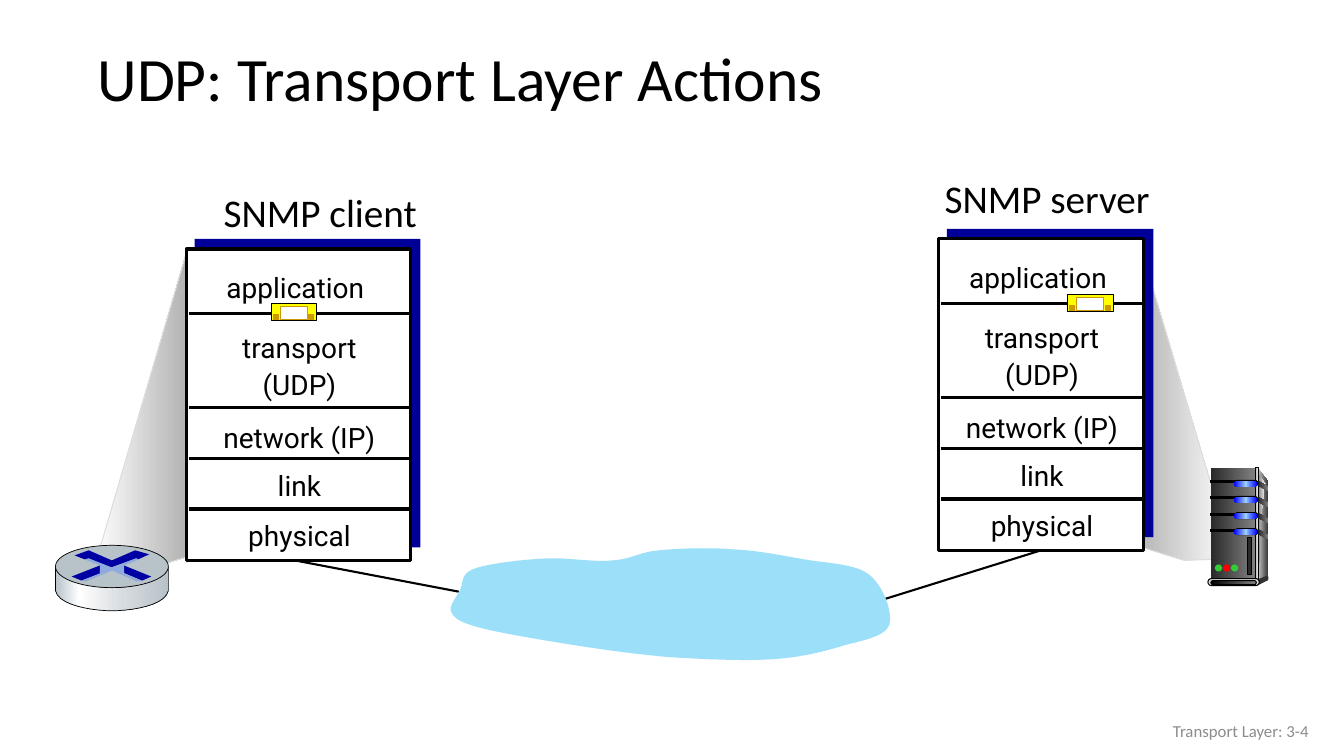
from lxml import etree
from pptx import Presentation
from pptx.dml.color import RGBColor
from pptx.enum.shapes import MSO_CONNECTOR as Connector, MSO_SHAPE as Preset
from pptx.enum.text import MSO_ANCHOR as Anchor, PP_ALIGN as Align
from pptx.oxml.ns import qn
from pptx.util import Inches, Pt

COLORS = {
    "black": "000000", "white": "FFFFFF", "navy": "000099", "cloud": "9CDFF9",
    "yellow": "FFFF00", "ochre": "CC9900", "muted": "8C8C8C", "silver": "B2B2B2",
    "pale": "DDDDDD", "char": "333333", "dark": "292929", "gray": "808080",
    "bright": "F8F8F8", "blue": "0000FF", "sky": "99CCFF", "green": "33CC33",
    "red": "FF0000", "steel": "B8C2C9", "mist": "D6DCE0", "arrow": "0000A3",
    "arrow glow": "8FAADC",
}
FORMATS = {
    "title": {"size": Pt(44), "name": "Calibri"},
    "host": {"size": Pt(28), "name": "Calibri"},
    "layer": {"size": Pt(20), "name": "Roboto"},
    "footer": {"size": Pt(12), "name": "Calibri"},
}
STACK_HEIGHT = 3.09
DIVIDERS = [0.64, 1.57, 2.08, 2.58]
# Layer lines, left inset and top offset within the stack
LAYERS = [
    (["application"], 0.08, 0.13),
    (["transport", "(UDP)"], 0.12, 0.73),
    (["network (IP)"], 0.12, 1.62),
    (["link"], 0.12, 2.1),
    (["physical"], 0.12, 2.59),
]
# A pair of numbers is a corner; six numbers are a Bezier curve
CLOUD = [
    (6.53, 5.46), (6.33, 5.48, 6.26, 5.55, 6.07, 5.56),
    (5.88, 5.58, 5.64, 5.53, 5.42, 5.54), (5.19, 5.55, 4.85, 5.59, 4.71, 5.64),
    (4.56, 5.69, 4.6, 5.79, 4.56, 5.86), (4.52, 5.94, 4.44, 6.02, 4.48, 6.08),
    (4.51, 6.14, 4.58, 6.18, 4.77, 6.23), (4.96, 6.28, 5.32, 6.34, 5.63, 6.39),
    (5.94, 6.44, 6.3, 6.49, 6.64, 6.52), (6.98, 6.54, 7.37, 6.56, 7.67, 6.54),
    (7.96, 6.52, 8.19, 6.46, 8.38, 6.4), (8.58, 6.35, 8.78, 6.31, 8.82, 6.2),
    (8.86, 6.08, 8.76, 5.81, 8.62, 5.7), (8.48, 5.59, 8.2, 5.59, 7.98, 5.55),
    (7.75, 5.51, 7.51, 5.46, 7.27, 5.45), (7.03, 5.43, 6.73, 5.44, 6.53, 5.46),
]
ROUTER_SIDE = [
    (1.67, 5.63), (1.67, 5.86), (1.64, 6.01, 1.3, 6.06, 1.11, 6.06),
    (0.93, 6.06, 0.58, 6.01, 0.55, 5.86), (0.55, 5.63),
    (0.6, 5.76, 0.92, 5.83, 1.11, 5.83), (1.29, 5.83, 1.62, 5.78, 1.67, 5.63),
]
ROUTER_ARROWS = [
    [(1.34, 5.46), (1.48, 5.5), (1.37, 5.55), (1.35, 5.54), (1.1, 5.63), (0.88, 5.54),
     (0.84, 5.55), (0.74, 5.51), (0.88, 5.46), (1.11, 5.56)],
    [(1.23, 5.61), (1.5, 5.72), (1.41, 5.76), (1.22, 5.68)],
    [(0.99, 5.61), (0.99, 5.69), (0.81, 5.76), (0.71, 5.72)],
]
ROUTER_GLOW = [
    (0.84, 5.55), (0.88, 5.54), (1.11, 5.63), (1.35, 5.54), (1.38, 5.55), (1.23, 5.61),
    (1.23, 5.69), (1.4, 5.76), (1.36, 5.77), (1.11, 5.66), (0.85, 5.77), (0.81, 5.76),
    (0.99, 5.69), (0.99, 5.61),
]


def rgb(color):
    return RGBColor.from_string(COLORS[color])


def paint(shape, fill, line=None, weight=0.75):
    """Fill with a colour name, or with a list of (position, name) stops."""
    shape.shadow.inherit = False
    if isinstance(fill, str):
        shape.fill.solid()
        shape.fill.fore_color.rgb = rgb(fill)
    else:
        shape.fill.gradient()
        gradient = shape._element.spPr.find(qn("a:gradFill"))
        gradient.find(qn("a:lin")).set("ang", "0")
        stops = gradient.find(qn("a:gsLst"))
        for old_stop in list(stops):
            stops.remove(old_stop)
        for position, color in fill:
            stop = etree.SubElement(stops, qn("a:gs"), pos=str(position * 1000))
            etree.SubElement(stop, qn("a:srgbClr"), val=COLORS[color])
    if line:
        shape.line.color.rgb = rgb(line)
        shape.line.width = Pt(weight)
    else:
        shape.line.fill.background()
    return shape


def add_preset(page, preset, place, fill, line=None, weight=0.75):
    shape = page.shapes.add_shape(preset, *map(Inches, place))
    if preset == Preset.ROUNDED_RECTANGLE:
        shape.adjustments[0] = 0.5
    return paint(shape, fill, line, weight)


def add_outline(page, steps, fill, line=None, weight=0.75, samples=10):
    points = [steps[0]]
    for step in steps[1:]:
        if len(step) == 2:
            points.append(step)
            continue
        knots = [points[-1], step[:2], step[2:4], step[4:]]
        for index in range(1, samples + 1):
            t = index / samples
            weights = [(1 - t) ** 3, 3 * t * (1 - t) ** 2, 3 * t * t * (1 - t), t ** 3]
            points.append(tuple(sum(w * knot[axis] for w, knot in zip(weights, knots))
                                for axis in (0, 1)))
    corners = [(Inches(x), Inches(y)) for x, y in points]
    builder = page.shapes.build_freeform(*corners[0])
    builder.add_line_segments(corners[1:], close=True)
    return paint(builder.convert_to_shape(), fill, line, weight)


def add_line(page, start, end, weight):
    line = page.shapes.add_connector(Connector.STRAIGHT, *map(Inches, start + end))
    line.line.color.rgb = rgb("black")
    line.line.width = Pt(weight)
    etree.SubElement(line._element.spPr, qn("a:effectLst"))
    return line


def add_text(page, place, lines, style, color="black", align=Align.LEFT,
             anchor=Anchor.TOP, spacing=1.0, wrap=True):
    box = page.shapes.add_textbox(*map(Inches, place))
    frame = box.text_frame
    frame.word_wrap = wrap
    frame.vertical_anchor = anchor
    for index, line in enumerate(lines):
        para = frame.add_paragraph() if index else frame.paragraphs[0]
        para.alignment = align
        para.line_spacing = spacing
        span = para.add_run()
        span.text = line
        for name, value in FORMATS[style].items():
            setattr(span.font, name, value)
        span.font.color.rgb = rgb(color)


def add_stack(page, left, top, width):
    add_preset(page, Preset.RECTANGLE, (left + 0.08, top - 0.1, width + 0.02, 3.06), "navy")
    front = add_preset(page, Preset.RECTANGLE, (left, top, width, STACK_HEIGHT),
                       "white", "black", 2.25)
    for offset in DIVIDERS:
        add_line(page, (left + 0.02, top + offset), (left + width, top + offset), 2.25)
    for lines, inset, offset in LAYERS:
        add_text(page, (left + inset, top + offset, width - 0.22, 0.37 * len(lines) + 0.07),
                 lines, "layer", align=Align.CENTER, spacing=1.1)
    return front


def add_segment(page, left, top):
    add_preset(page, Preset.RECTANGLE, (left, top, 0.45, 0.17), "yellow", "black")
    add_preset(page, Preset.RECTANGLE, (left + 0.09, top + 0.03, 0.27, 0.13), "white", "ochre")
    for offset in (0.02, 0.37):
        add_preset(page, Preset.RECTANGLE, (left + offset, top + 0.11, 0.05, 0.05),
                   "ochre", "ochre")


def add_server(page):
    # Case
    add_outline(page, [(12.48, 4.65), (12.58, 4.78), (12.57, 5.71), (12.46, 5.76)],
                [(0, "pale"), (100, "char")])
    add_preset(page, Preset.RECTANGLE, (12.01, 4.64, 0.44, 1.12), [(0, "dark"), (100, "gray")])
    add_outline(page, [(12.48, 4.71), (12.48, 4.71, 12.5, 4.72, 12.55, 4.8),
                       (12.48, 5.21, 12.49, 5.75, 12.48, 5.73)],
                [(0, "gray"), (100, "bright")])
    add_preset(page, Preset.RECTANGLE, (12.45, 4.64, 0.03, 1.12),
               [(0, "char"), (50, "pale"), (100, "char")], "black")
    # Drive bays with side vents
    for bay in range(4):
        top = 4.77 + 0.16 * bay
        add_preset(page, Preset.RECTANGLE, (12.01, top, 0.25, 0.02), "black", "black")
        add_preset(page, Preset.ROUNDED_RECTANGLE, (12.24, top - 0.01, 0.24, 0.07), "black")
        add_preset(page, Preset.ROUNDED_RECTANGLE, (12.24, top, 0.23, 0.06),
                   [(0, "blue"), (50, "sky"), (100, "blue")])
        add_outline(page, [(12.48, top), (12.58, top + 0.06), (12.58, top + 0.1),
                           (12.48, top + 0.05)], [(0, "dark"), (100, "gray")])
    # Base, lamps and slot
    add_preset(page, Preset.OVAL, (12.56, 5.71, 0.02, 0.05), "char")
    add_outline(page, [(12.47, 5.75), (12.47, 5.81), (12.57, 5.76), (12.57, 5.71)], "char")
    add_preset(page, Preset.ROUNDED_RECTANGLE, (11.98, 5.74, 0.51, 0.07), "pale", "black")
    add_preset(page, Preset.ROUNDED_RECTANGLE, (12.01, 5.76, 0.45, 0.04),
               [(0, "black"), (100, "gray")], "black")
    for index, color in enumerate(["green", "red", "green"]):
        add_preset(page, Preset.OVAL, (12.05 + 0.08 * index, 5.6, 0.07, 0.07), color)
    add_preset(page, Preset.RECTANGLE, (12.37, 5.33, 0.04, 0.37), "dark", "black")


def add_router(page):
    add_outline(page, ROUTER_SIDE, [(0, "steel"), (21, "white"), (60, "mist"), (100, "steel")],
                "black", 0.5)
    add_preset(page, Preset.OVAL, (0.55, 5.41, 1.12, 0.42), "steel", "black", 0.5)
    for arrow in ROUTER_ARROWS:
        add_outline(page, arrow, "arrow")
    add_outline(page, ROUTER_GLOW, "arrow glow")


def main():
    deck = Presentation()
    deck.slide_width, deck.slide_height = Inches(13.33), Inches(7.5)
    page = deck.slides.add_slide(deck.slide_layouts[6])

    # Headings
    add_text(page, (0.87, 0.32, 12.14, 0.98), ["UDP: Transport Layer Actions"], "title",
             anchor=Anchor.MIDDLE, spacing=0.9)
    add_text(page, (9.27, 1.68, 2.26, 0.57), ["SNMP server"], "host", wrap=False)
    add_text(page, (2.12, 1.82, 2.14, 0.57), ["SNMP client"], "host", wrap=False)

    # Server side
    add_outline(page, [(12.23, 5.54), (11.29, 2.37), (11.26, 5.41), (11.75, 5.56)],
                [(0, "silver"), (100, "white")], "pale")
    add_server(page)
    server_stack = add_stack(page, 9.31, 2.37, 2.03)

    # Network between the hosts
    server_link = add_line(page, (10.33, 5.46), (8.72, 5.96), 1.5)
    server_link.begin_connect(server_stack, 2)
    add_line(page, (2.82, 5.54), (4.55, 5.87), 1.5)
    add_outline(page, CLOUD, "cloud")

    # Client side
    add_outline(page, [(0.93, 5.65), (1.86, 2.47), (1.84, 5.53), (1.41, 5.66)],
                [(0, "white"), (100, "silver")], "pale")
    add_stack(page, 1.85, 2.47, 2.22)
    add_router(page)

    # Segments at the application boundary
    add_segment(page, 2.69, 3.01)
    add_segment(page, 10.59, 2.92)

    add_text(page, (10.08, 7.05, 3, 0.4), ["Transport Layer: 3-4"], "footer", "muted",
             Align.RIGHT, Anchor.MIDDLE)
    deck.save("out.pptx")


if __name__ == "__main__":
    main()
